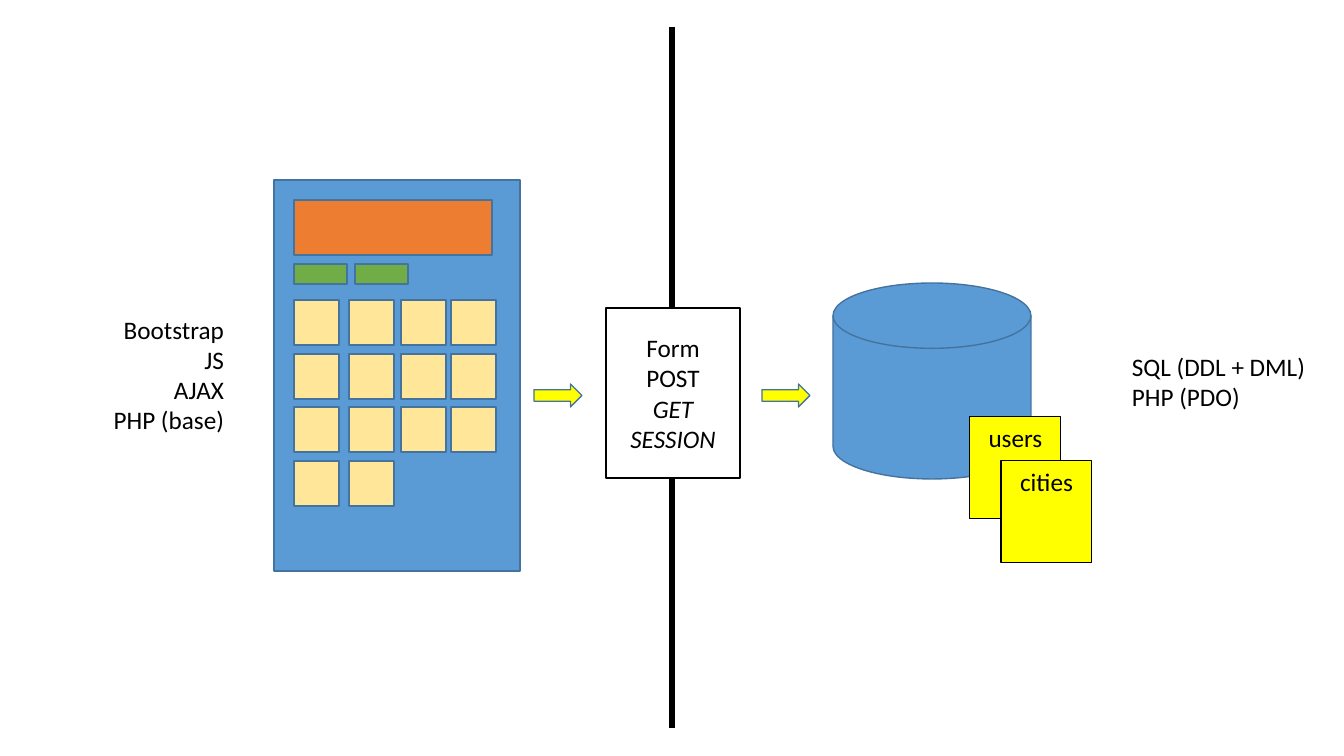
from pptx import Presentation
from pptx.dml.color import RGBColor
from pptx.enum.shapes import MSO_CONNECTOR, MSO_SHAPE
from pptx.enum.text import MSO_ANCHOR, MSO_AUTO_SIZE, PP_ALIGN
from pptx.oxml.ns import qn
from pptx.util import Pt
from lxml import etree

RECT, ARROW = MSO_SHAPE.RECTANGLE, MSO_SHAPE.RIGHT_ARROW
DISK = MSO_SHAPE.FLOWCHART_MAGNETIC_DISK
TOP, MIDDLE = MSO_ANCHOR.TOP, MSO_ANCHOR.MIDDLE
LEFT, CENTER, RIGHT = PP_ALIGN.LEFT, PP_ALIGN.CENTER, PP_ALIGN.RIGHT
GROW = MSO_AUTO_SIZE.SHAPE_TO_FIT_TEXT
STRAIGHT = MSO_CONNECTOR.STRAIGHT

SCALE = 914400 / 100.8
COLORS = {
    "blue": "5B9BD5", "edge": "43739E", "orange": "ED7D31", "green": "70AD47",
    "cream": "FFE699", "yellow": "FFFF00", "white": "FFFFFF", "black": "000000",
}
FONT = {"name": "Calibri", "size": Pt(18)}

# Content: boxes are left, top, width, height in pixels
DIVIDER = (672, 27, 672, 728)
BODY = (274, 180, 246, 391)
SCREEN = (294, 200, 198, 55)
MODES = [(294, 264, 53, 20), (355, 264, 53, 20)]
KEY_COLS = [294, 349, 401, 451]
KEY_ROWS = [(300, 4), (354, 4), (407, 4), (461, 2)]
KEY = 45
STORE = (833, 283, 198, 196)
TABLES = [("users", (970, 417, 91, 102)), ("cities", (1001, 461, 91, 102))]
LABELS = [
    (["Bootstrap", "JS", "AJAX", "PHP (base)"], (102, 309, 132, 132), RIGHT),
    (["SQL (DDL + DML)", "PHP (PDO)"], (1122, 346, 197, 72), LEFT),
]
FORM = (["Form", "POST", "GET", "SESSION"], (606, 308, 134, 170))
SLANTED = {"GET", "SESSION"}
ARROWS = [(534, 384, 48, 23), (762, 384, 48, 23)]


def px(value):
    """Turn pixels into EMU."""
    return round(value * SCALE)


def rgb(name):
    """Look up a named colour."""
    return RGBColor.from_string(COLORS[name])


def write(shape, lines, align, anchor=TOP):
    """Fill a shape with one paragraph per line."""
    frame = shape.text_frame
    frame.vertical_anchor = anchor
    for i, text in enumerate(lines):
        para = frame.add_paragraph() if i else frame.paragraphs[0]
        para.alignment = align
        run = para.add_run()
        run.text = text
        for key, value in FONT.items():
            setattr(run.font, key, value)
        run.font.color.rgb = rgb("black")
        if text in SLANTED:
            run.font.italic = True


def draw(box, fill, kind=RECT, edge="edge", weight=1):
    """Add a filled, outlined shape."""
    shape = slide.shapes.add_shape(kind, *map(px, box))
    shape.shadow.inherit = False
    shape.fill.solid()
    shape.fill.fore_color.rgb = rgb(fill)
    shape.line.color.rgb = rgb(edge)
    shape.line.width = Pt(weight)
    return shape


def divide():
    """Add the thick line between the two sides."""
    line = slide.shapes.add_connector(STRAIGHT, *map(px, DIVIDER))
    line.line.color.rgb = rgb("black")
    line.line.width = Pt(4.5)
    etree.SubElement(line._element.spPr, qn("a:effectLst"))


def label(lines, box, align):
    """Add a side label that does not wrap."""
    text = slide.shapes.add_textbox(*map(px, box))
    text.text_frame.word_wrap = False
    text.text_frame.auto_size = GROW
    write(text, lines, align)


deck = Presentation()
deck.slide_width, deck.slide_height = px(1344), px(756)
slide = deck.slides.add_slide(deck.slide_layouts[6])

divide()
draw(BODY, "blue")
draw(SCREEN, "orange")
for box in MODES:
    draw(box, "green")
for top, count in KEY_ROWS:
    for left in KEY_COLS[:count]:
        draw((left, top, KEY, KEY), "cream")

draw(STORE, "blue", DISK)
for name, box in TABLES:
    write(draw(box, "yellow", edge="black", weight=0.75), [name], CENTER)
for lines, box, align in LABELS:
    label(lines, box, align)

lines, box = FORM
write(draw(box, "white", edge="black"), lines, CENTER, MIDDLE)
for box in ARROWS:
    draw(box, "yellow", ARROW)

deck.save("out.pptx")
